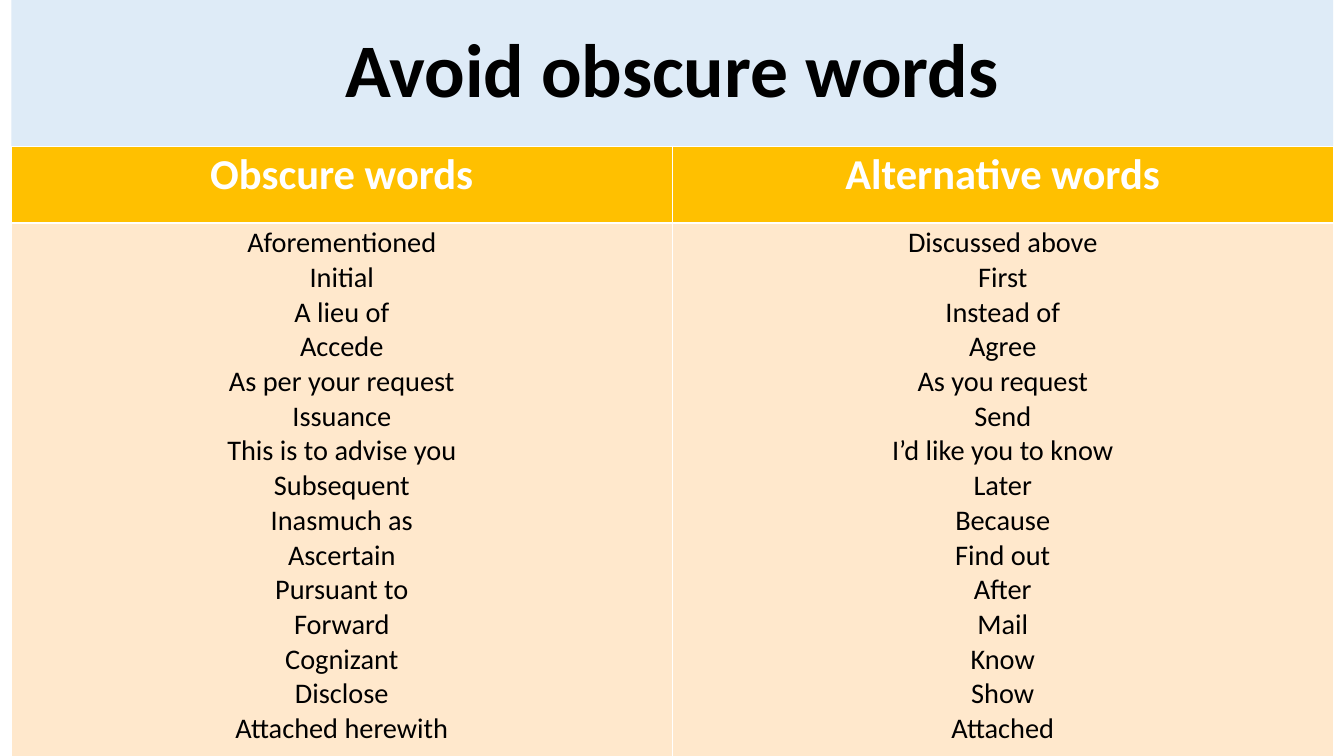
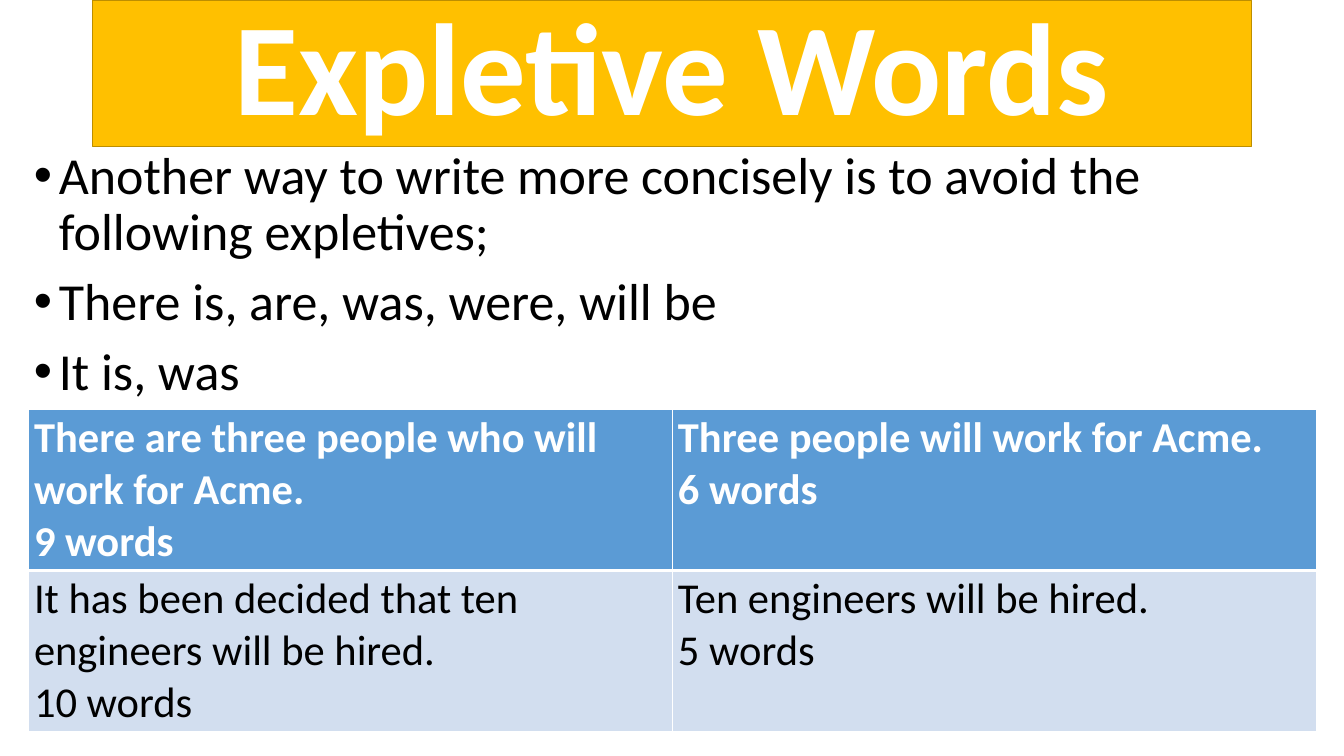
from lxml import etree
from pptx import Presentation
from pptx.dml.color import RGBColor
from pptx.enum.text import MSO_ANCHOR, MSO_AUTO_SIZE, PP_ALIGN
from pptx.oxml.ns import qn
from pptx.util import Inches, Pt

BLACK = RGBColor(0x00, 0x00, 0x00)
WHITE = RGBColor(0xFF, 0xFF, 0xFF)
PALE_BLUE = RGBColor(0xDE, 0xEB, 0xF7)
BLUE = RGBColor(0x5B, 0x9B, 0xD5)
LIGHT_BLUE = RGBColor(0xD2, 0xDE, 0xEF)
GOLD = RGBColor(0xFF, 0xC0, 0x00)
DARK_GOLD = RGBColor(0xBD, 0x8E, 0x00)
CREAM = RGBColor(0xFF, 0xE8, 0xCC)

FONT = "Calibri"
TITLE_ONLY = 5
BAND_HEIGHT = 2.58

WORD_PAIRS = [
    ("Aforementioned", "Discussed above"),
    ("Initial", "First"),
    ("A lieu of", "Instead of"),
    ("Accede", "Agree"),
    ("As per your request", "As you request"),
    ("Issuance", "Send"),
    ("This is to advise you", "I’d like you to know"),
    ("Subsequent", "Later"),
    ("Inasmuch as", "Because"),
    ("Ascertain", "Find out"),
    ("Pursuant to", "After"),
    ("Forward", "Mail"),
    ("Cognizant", "Know"),
    ("Disclose", "Show"),
    ("Attached herewith", "Attached"),
]


def add_bullet(paragraph, indent=0.44):
    properties = paragraph._p.get_or_add_pPr()
    properties.set("marL", str(Inches(indent)))
    properties.set("indent", str(-Inches(indent)))
    etree.SubElement(properties, qn("a:buFont"), typeface="Arial")
    etree.SubElement(properties, qn("a:buChar"), char="•")


def write(frame, lines, size, color=BLACK, bold=False, align=PP_ALIGN.LEFT,
          line_spacing=None, space_before=0, bullets=False):
    """Fill a text frame with one paragraph for each line."""
    frame.word_wrap = True
    for index, line in enumerate(lines):
        paragraph = frame.add_paragraph() if index else frame.paragraphs[0]
        if bullets:
            add_bullet(paragraph)
        paragraph.alignment = align
        if line_spacing:
            paragraph.line_spacing = line_spacing
        if index and space_before:
            paragraph.space_before = Pt(space_before)
        run = paragraph.add_run()
        run.text = line
        run.font.name = FONT
        run.font.size = Pt(size)
        run.font.bold = bold
        run.font.color.rgb = color


def set_borders(cell, **widths):
    """Draw white cell borders; widths are points keyed by side, L R T B."""
    properties = cell._tc.get_or_add_tcPr()
    for side in "LRTB":
        border = etree.SubElement(properties, qn(f"a:ln{side}"),
                                  w=str(Pt(widths.get(side, 1))))
        fill = etree.SubElement(border, qn("a:solidFill"))
        etree.SubElement(fill, qn("a:srgbClr"), val=str(WHITE))


class Deck:
    def __init__(self, width, height):
        self.presentation = Presentation()
        self.presentation.slide_width = Inches(width)
        self.presentation.slide_height = Inches(height)
        self.slide = None

    def add_slide(self):
        layout = self.presentation.slide_layouts[TITLE_ONLY]
        self.slide = self.presentation.slides.add_slide(layout)

    def title_band(self, title, left, width, fill, size, color, outline=None):
        band = self.slide.shapes.title
        band.left, band.top = Inches(left), 0
        band.width, band.height = Inches(width), Inches(BAND_HEIGHT)
        band.fill.solid()
        band.fill.fore_color.rgb = fill
        if outline is not None:
            band.line.color.rgb = outline
            band.line.width = Pt(1)
        band.text_frame.auto_size = MSO_AUTO_SIZE.NONE
        band.text_frame.vertical_anchor = MSO_ANCHOR.MIDDLE
        write(band.text_frame, [title], size, color, bold=True,
              align=PP_ALIGN.CENTER, line_spacing=0.9)

    def bullet_list(self, points, left, top, width, height, size):
        box = self.slide.shapes.add_textbox(Inches(left), Inches(top),
                                            Inches(width), Inches(height))
        write(box.text_frame, points, size, line_spacing=0.9,
              space_before=17.8, bullets=True)

    def comparison_table(self, rows, left, top, width, row_heights, fills,
                         sizes, align=PP_ALIGN.LEFT):
        """Add a header row and a body row; each cell is a list of lines."""
        table = self.slide.shapes.add_table(
            len(rows), len(rows[0]), Inches(left), Inches(top),
            Inches(width), Inches(sum(row_heights))).table
        table.first_row = table.horz_banding = False
        for index, cells in enumerate(rows):
            is_header = index == 0
            table.rows[index].height = Inches(row_heights[index])
            for cell, lines in zip(table.rows[index].cells, cells):
                set_borders(cell, **({"B": 3} if is_header else {"T": 3}))
                cell.fill.solid()
                cell.fill.fore_color.rgb = fills[index]
                write(cell.text_frame, lines, sizes[index],
                      WHITE if is_header else BLACK, bold=is_header,
                      align=align)


def obscure_words(deck):
    left, width = 0.2, 23.31
    deck.add_slide()
    deck.title_band("Avoid obscure words", left, width, PALE_BLUE, 96, BLACK)
    obscure, alternatives = zip(*WORD_PAIRS)
    deck.comparison_table(
        [(["Obscure words"], ["Alternative words"]), (obscure, alternatives)],
        left, BAND_HEIGHT, width, row_heights=(1.35, 9.4),
        fills=(GOLD, CREAM), sizes=(54, 36), align=PP_ALIGN.CENTER)


def expletive_words(deck):
    left = 0.5
    deck.add_slide()
    deck.title_band("Expletive Words", 1.63, 20.44, GOLD, 166, WHITE,
                    outline=DARK_GOLD)
    deck.bullet_list(
        ["Another way to write more concisely is to avoid the following "
         "expletives;",
         "There is, are, was, were, will be",
         "It is, was"],
        left, BAND_HEIGHT, 22.21, 4.64, 66)
    deck.comparison_table(
        [(["There are three people who will work for Acme.", "9 words"],
          ["Three people will work for Acme.", "6 words"]),
         (["It has been decided that ten engineers will be hired.",
           "10 words"],
          ["Ten engineers will be hired.", "5 words"])],
        left, 7.22, 22.71, row_heights=(2.84, 2.84),
        fills=(BLUE, LIGHT_BLUE), sizes=(54, 54))


def main():
    deck = Deck(23.7, 13.33)
    obscure_words(deck)
    expletive_words(deck)
    deck.presentation.save("out.pptx")


if __name__ == "__main__":
    main()
